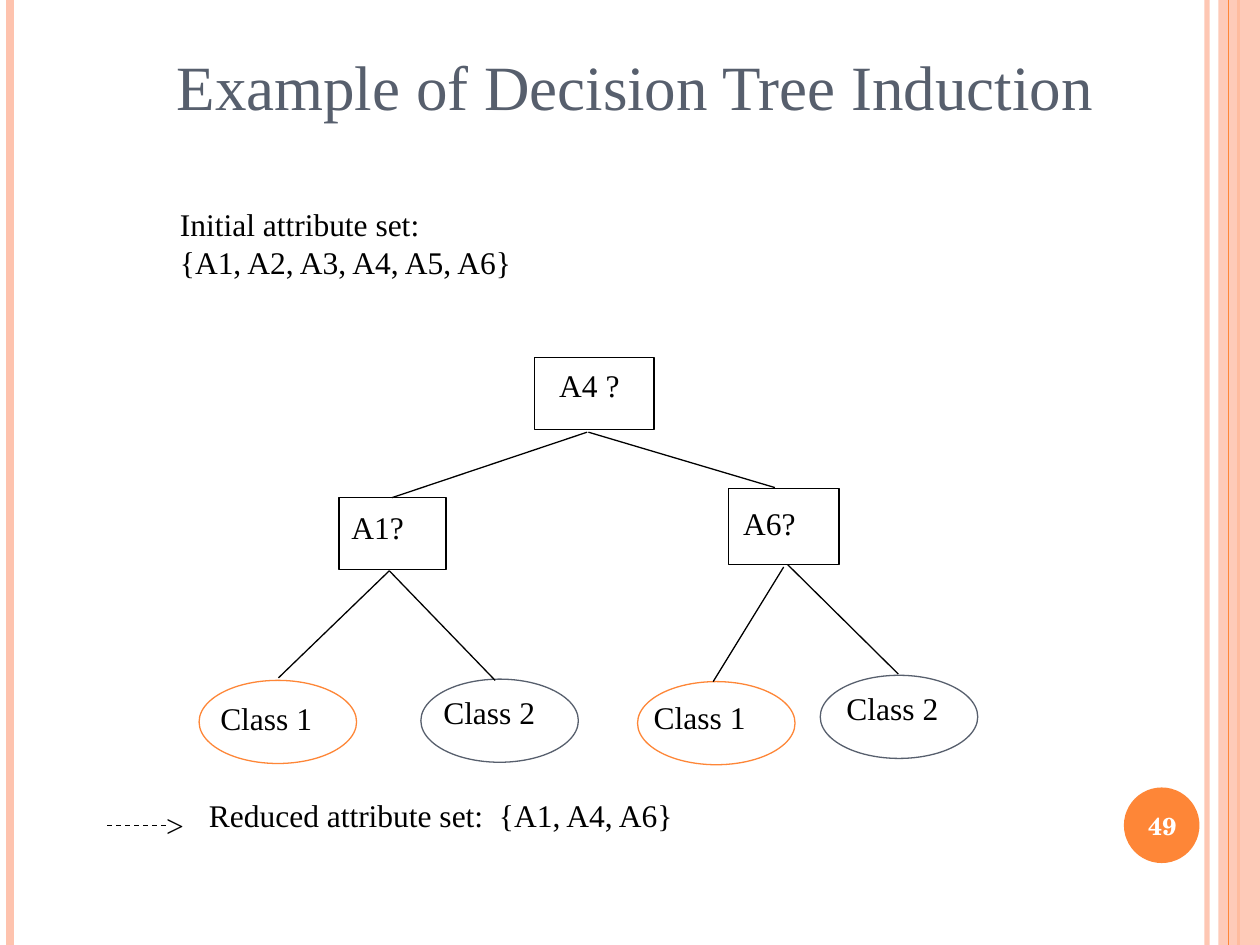
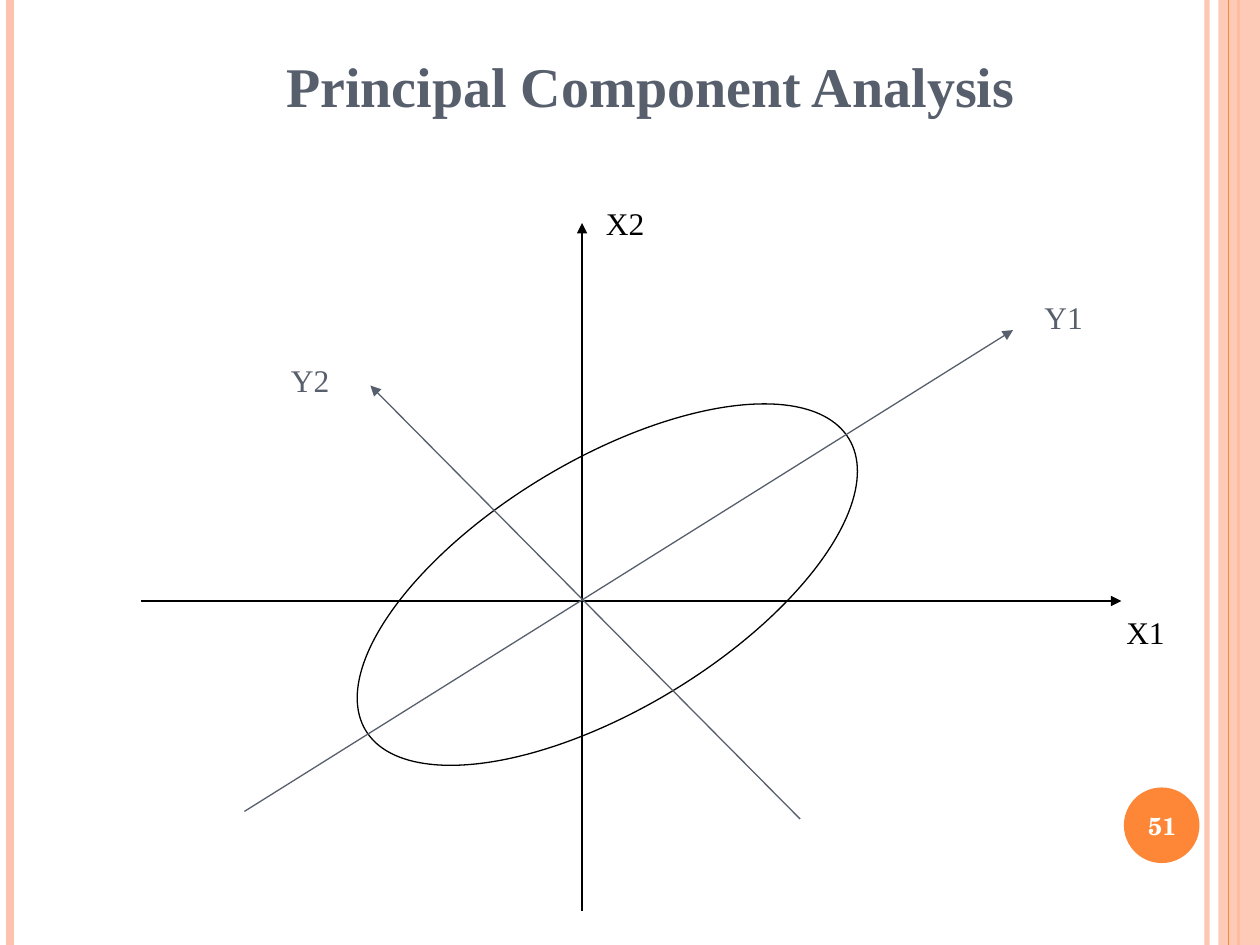
from lxml import etree
from pptx import Presentation
from pptx.dml.color import RGBColor
from pptx.enum import dml, shapes, text
from pptx.oxml.ns import qn
from pptx.util import Inches, Pt

BLACK = RGBColor(0x00, 0x00, 0x00)
WHITE = RGBColor(0xFF, 0xFF, 0xFF)
SLATE = RGBColor(0x57, 0x5F, 0x6D)
ORANGE = RGBColor(0xFE, 0x86, 0x37)
PEACH = RGBColor(0xFE, 0xC3, 0xAE)
SERIF = "Times New Roman"
NUMBER_FONT = "TeX Gyre Schola"
WIDTH, HEIGHT = 10, 7.5
RECT = shapes.MSO_SHAPE.RECTANGLE
OVAL = shapes.MSO_SHAPE.OVAL

BAND_BOX = (9.67, 0, 0.33, HEIGHT)
LEFT_RULES = [(9.58, PEACH, 3, 93), (0.08, PEACH, 4.5, None), (9.83, ORANGE, 1.5, None)]
BAND_RULE = (9.75, ORANGE, 0.75, None)
NUMBER_DISC = (8.92, 6.25, 0.6, 0.6)
NUMBER_BOX = (8.89, 6.27, 0.67, 0.57)

TREE_TITLE = ("Example of Decision Tree Induction", (0.83, 0.33, 8.42, 0.7))
ATTRIBUTE_SETS = [
    ("Initial attribute set:\n{A1, A2, A3, A4, A5, A6}", (1.33, 1.58, 3.8, 0.9)),
    ("Reduced attribute set:  {A1, A4, A6}", (1.56, 6.27, 5.15, 0.5)),
]
TESTS = [
    ("A4 ?", (4.24, 2.84, 0.95, 0.57), (4.34, 2.86, 0.97, 0.5)),
    ("A1?", (2.69, 3.95, 0.85, 0.57), (2.69, 3.98, 0.76, 0.5)),
    ("A6?", (5.78, 3.88, 0.88, 0.6), (5.8, 3.95, 0.76, 0.5)),
]
LEAF_SIZE = (1.25, 0.66)
LEAF_LABEL_SIZE = (1.17, 0.5)
LEAVES = [
    ("Class 1", ORANGE, (1.58, 5.4), (1.65, 5.5)),
    ("Class 2", SLATE, (3.34, 5.39), (3.42, 5.45)),
    ("Class 1", ORANGE, (5.06, 5.41), (5.09, 5.49)),
    ("Class 2", SLATE, (6.51, 5.36), (6.62, 5.42)),
]
BRANCHES = [
    ((4.66, 3.43), (3.11, 3.95)),
    ((4.67, 3.43), (6.15, 3.87)),
    ((3.09, 4.53), (2.21, 5.38)),
    ((3.09, 4.53), (3.93, 5.4)),
    ((6.22, 4.5), (5.66, 5.41)),
    ((6.25, 4.48), (7.13, 5.35)),
]
RESULT_DASH = ((0.85, 6.55), (1.33, 6.55))
RESULT_HEAD = (">", (1.22, 6.35, 0.34, 0.4))

PCA_TITLE = ("Principal Component Analysis", (1.5, 0.36, 7.33, 0.63))
CLOUD_BOX, CLOUD_ANGLE = (2.58, 3.65, 4.48, 1.98), 328.9
AXIS_LABEL_SIZE = (0.61, 0.5)
AXES = [
    ("X1", BLACK, (1.12, 4.77), (8.9, 4.77), (8.84, 4.82)),
    ("X2", BLACK, (4.62, 7.23), (4.62, 1.77), (4.71, 1.57)),
    ("Y1", SLATE, (1.94, 6.44), (8.04, 2.62), (8.19, 2.32)),
    ("Y2", SLATE, (6.35, 6.5), (2.94, 3.06), (2.21, 2.82)),
]


def inches(values):
    return [Inches(v) for v in values]


def set_alpha(sp, percent):
    for clr in sp._element.spPr.iter(qn("a:srgbClr")):
        etree.SubElement(clr, qn("a:alpha"), val=str(percent * 1000))


def add_text(s, content, box, size=18, color=BLACK, font=SERIF, bold=False,
             align=text.PP_ALIGN.LEFT, anchor=text.MSO_ANCHOR.TOP):
    tf = s.shapes.add_textbox(*inches(box)).text_frame
    tf.word_wrap = True
    tf.vertical_anchor = anchor
    for i, line in enumerate(content.split("\n")):
        p = tf.add_paragraph() if i else tf.paragraphs[0]
        p.alignment = align
        r = p.add_run()
        r.text = line
        r.font.name, r.font.size, r.font.bold = font, Pt(size), bold
        r.font.color.rgb = color


def add_shape(s, kind, box, fill=None, line=None):
    sp = s.shapes.add_shape(kind, *inches(box))
    sp.shadow.inherit = False
    if fill is None:
        sp.fill.background()
    else:
        sp.fill.solid()
        sp.fill.fore_color.rgb = fill
    if line is None:
        sp.line.fill.background()
    else:
        sp.line.color.rgb = line
        sp.line.width = Pt(0.75)
    return sp


def add_line(s, start, end, color=BLACK, width=0.75, dashed=False, arrow=False):
    cx = s.shapes.add_connector(shapes.MSO_CONNECTOR.STRAIGHT, *inches(start + end))
    cx.line.color.rgb = color
    cx.line.width = Pt(width)
    if dashed:
        cx.line.dash_style = dml.MSO_LINE.DASH
    if arrow:
        etree.SubElement(cx.line._get_or_add_ln(), qn("a:tailEnd"), type="triangle")
    etree.SubElement(cx._element.spPr, qn("a:effectLst"))
    return cx


def add_rule(s, x, color, width, alpha):
    cx = add_line(s, (x, 0), (x, HEIGHT), color, width)
    if alpha:
        set_alpha(cx, alpha)


def add_slide(prs, title, number, size, bold=False):
    s = prs.slides.add_slide(prs.slide_layouts[6])
    for rule in LEFT_RULES:
        add_rule(s, *rule)
    set_alpha(add_shape(s, RECT, BAND_BOX, fill=PEACH), 87)
    add_rule(s, *BAND_RULE)
    add_shape(s, OVAL, NUMBER_DISC, fill=ORANGE)
    add_text(s, number, NUMBER_BOX, size=14, color=WHITE, font=NUMBER_FONT, bold=True,
             align=text.PP_ALIGN.CENTER, anchor=text.MSO_ANCHOR.MIDDLE)
    add_text(s, *title, size=size, color=SLATE, bold=bold, align=text.PP_ALIGN.CENTER)
    return s


def build_tree(prs):
    s = add_slide(prs, TREE_TITLE, "49", 36)
    for content, box in ATTRIBUTE_SETS + [RESULT_HEAD]:
        add_text(s, content, box)
    for label, box, label_box in TESTS:
        add_shape(s, RECT, box, line=BLACK)
        add_text(s, label, label_box)
    for label, color, corner, label_corner in LEAVES:
        add_shape(s, OVAL, corner + LEAF_SIZE, line=color)
        add_text(s, label, label_corner + LEAF_LABEL_SIZE)
    for start, end in BRANCHES:
        add_line(s, start, end)
    add_line(s, *RESULT_DASH, dashed=True)


def build_pca(prs):
    s = add_slide(prs, PCA_TITLE, "51", 32, bold=True)
    add_shape(s, OVAL, CLOUD_BOX, line=BLACK).rotation = CLOUD_ANGLE
    for label, color, start, end, corner in AXES:
        add_line(s, start, end, color, arrow=True)
        add_text(s, label, corner + AXIS_LABEL_SIZE, color=color)


def main():
    prs = Presentation()
    prs.slide_width, prs.slide_height = inches((WIDTH, HEIGHT))
    build_tree(prs)
    build_pca(prs)
    prs.save("out.pptx")


if __name__ == "__main__":
    main()
